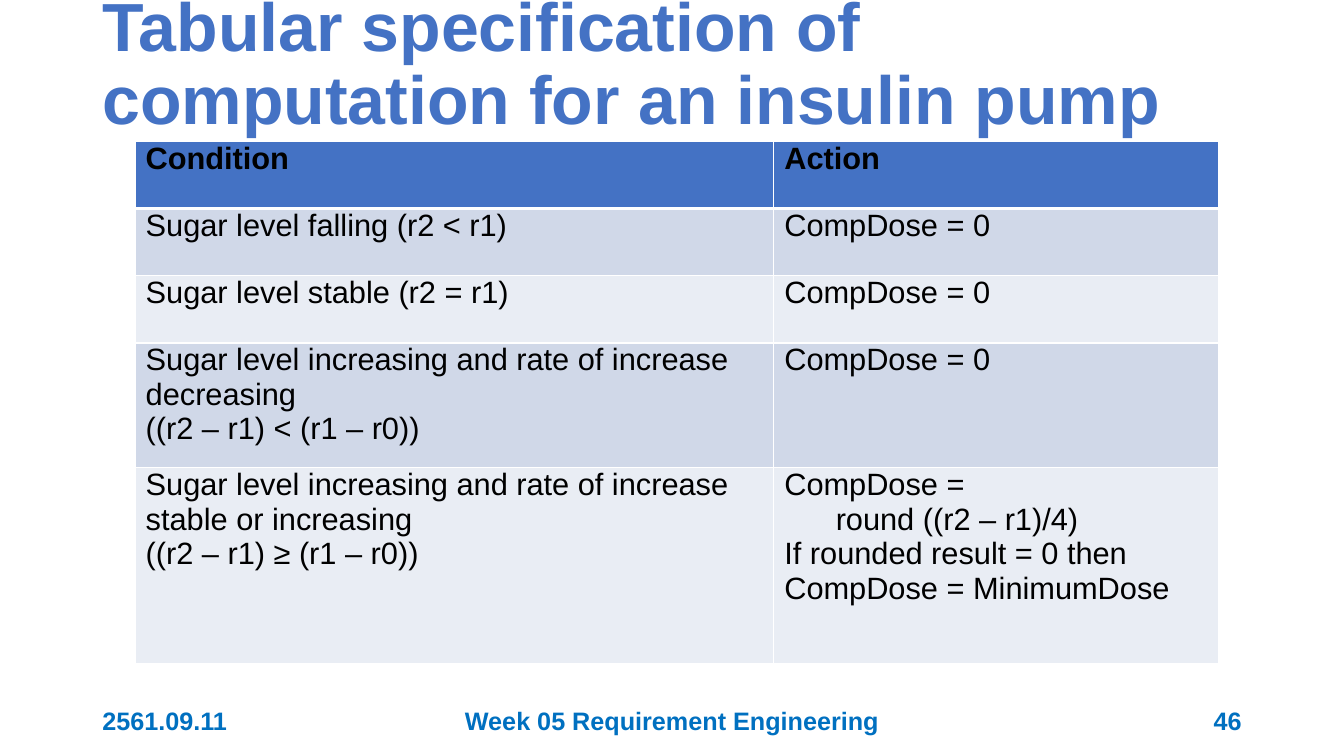
"""Build the slide with the tabular specification of an insulin pump."""
from lxml import etree
from pptx import Presentation
from pptx.dml.color import RGBColor
from pptx.enum.text import MSO_ANCHOR, PP_ALIGN
from pptx.oxml.ns import qn
from pptx.util import Pt

LEFT, CENTER, RIGHT, JUSTIFY = PP_ALIGN.LEFT, PP_ALIGN.CENTER, PP_ALIGN.RIGHT, PP_ALIGN.JUSTIFY
MIDDLE = MSO_ANCHOR.MIDDLE

BLUE = RGBColor(0x44, 0x72, 0xC4)
FOOTER_BLUE = RGBColor(0x00, 0x70, 0xC0)
BLACK = RGBColor(0, 0, 0)
WHITE = RGBColor(0xFF, 0xFF, 0xFF)
DARK_BAND = RGBColor(0xD0, 0xD8, 0xE8)
LIGHT_BAND = RGBColor(0xE9, 0xED, 0xF4)

TITLE = "Tabular specification of computation for an insulin pump"
FOOTERS = [
    ("2561.09.11", 66, 216, LEFT),
    ("Week 05 Requirement Engineering", 318, 324, CENTER),
    ("46", 678, 216, RIGHT),
]
SPECIFICATION = [
    (["Condition"], ["Action"]),
    (["Sugar level falling (r2 < r1)"], ["CompDose = 0"]),
    (["Sugar level stable (r2 = r1)"], ["CompDose = 0"]),
    (["Sugar level increasing and rate of increase decreasing", "((r2 – r1) < (r1 – r0))"],
     ["CompDose = 0"]),
    (["Sugar level increasing and rate of increase stable or increasing",
      "((r2 – r1) ≥ (r1 – r0))"],
     ["CompDose =", "round ((r2 – r1)/4)", "If rounded result = 0 then", "CompDose = MinimumDose"]),
]
INDENTS = {"round ((r2 – r1)/4)": 36.7}
COLUMN_WIDTHS = [456.2, 317.8]
ROW_HEIGHTS = [48, 48, 48, 88, 140]
TABLE_LEFT, TABLE_TOP = 96.4, 101


def write(frame, lines, size, color, bold=False, align=LEFT, spacing=1.0):
    """Fill a text frame with one paragraph for each line."""
    frame.word_wrap = True
    for number, line in enumerate(lines):
        paragraph = frame.add_paragraph() if number else frame.paragraphs[0]
        paragraph.alignment = align
        paragraph.line_spacing = spacing
        if line in INDENTS:
            properties = paragraph._p.get_or_add_pPr()
            properties.set("marL", str(int(Pt(INDENTS[line]))))
            properties.set("indent", "0")
        run = paragraph.add_run()
        run.text = line
        run.font.name = "Arial"
        run.font.size = Pt(size)
        run.font.bold = bold
        run.font.color.rgb = color


def add_label(slide, text, left, top, width, height, **style):
    """Add a vertically centred text box."""
    frame = slide.shapes.add_textbox(Pt(left), Pt(top), Pt(width), Pt(height)).text_frame
    frame.vertical_anchor = MIDDLE
    write(frame, [text], **style)


def set_borders(cell, widths):
    """Draw white borders, given as a width for each side."""
    properties = cell._tc.get_or_add_tcPr()
    for side, width in widths.items():
        line = etree.SubElement(properties, qn(f"a:ln{side}"), w=str(int(Pt(width))))
        fill = etree.SubElement(line, qn("a:solidFill"))
        etree.SubElement(fill, qn("a:srgbClr"), val=str(WHITE))


def add_specification(slide):
    """Add the table of conditions and actions."""
    table = slide.shapes.add_table(
        len(ROW_HEIGHTS), len(COLUMN_WIDTHS), Pt(TABLE_LEFT), Pt(TABLE_TOP),
        Pt(sum(COLUMN_WIDTHS)), Pt(sum(ROW_HEIGHTS))).table
    for column, width in zip(table.columns, COLUMN_WIDTHS):
        column.width = Pt(width)
    for number, (row, height) in enumerate(zip(table.rows, ROW_HEIGHTS)):
        row.height = Pt(height)
        header = number == 0
        band = BLUE if header else DARK_BAND if number % 2 else LIGHT_BAND
        borders = {"L": 1, "R": 1, "T": 3 if number == 1 else 1, "B": 3 if header else 1}
        for cell, lines in zip(row.cells, SPECIFICATION[number]):
            cell.margin_left = cell.margin_right = Pt(7.7)
            cell.margin_top, cell.margin_bottom = Pt(0), Pt(10)
            set_borders(cell, borders)
            cell.fill.solid()
            cell.fill.fore_color.rgb = band
            write(cell.text_frame, lines, size=22, color=BLACK, bold=header,
                  align=JUSTIFY if header else LEFT)


def main():
    """Build and save the slide."""
    presentation = Presentation()
    presentation.slide_width, presentation.slide_height = Pt(960), Pt(540)
    slide = presentation.slides.add_slide(presentation.slide_layouts[6])
    add_label(slide, TITLE, 66, 18.7, 828, 57, size=48.6, color=BLUE, bold=True, spacing=0.9)
    for text, left, width, align in FOOTERS:
        add_label(slide, text, left, 500.5, width, 28.75, size=18, color=FOOTER_BLUE,
                  bold=True, align=align)
    add_specification(slide)
    presentation.save("out.pptx")


if __name__ == "__main__":
    main()
